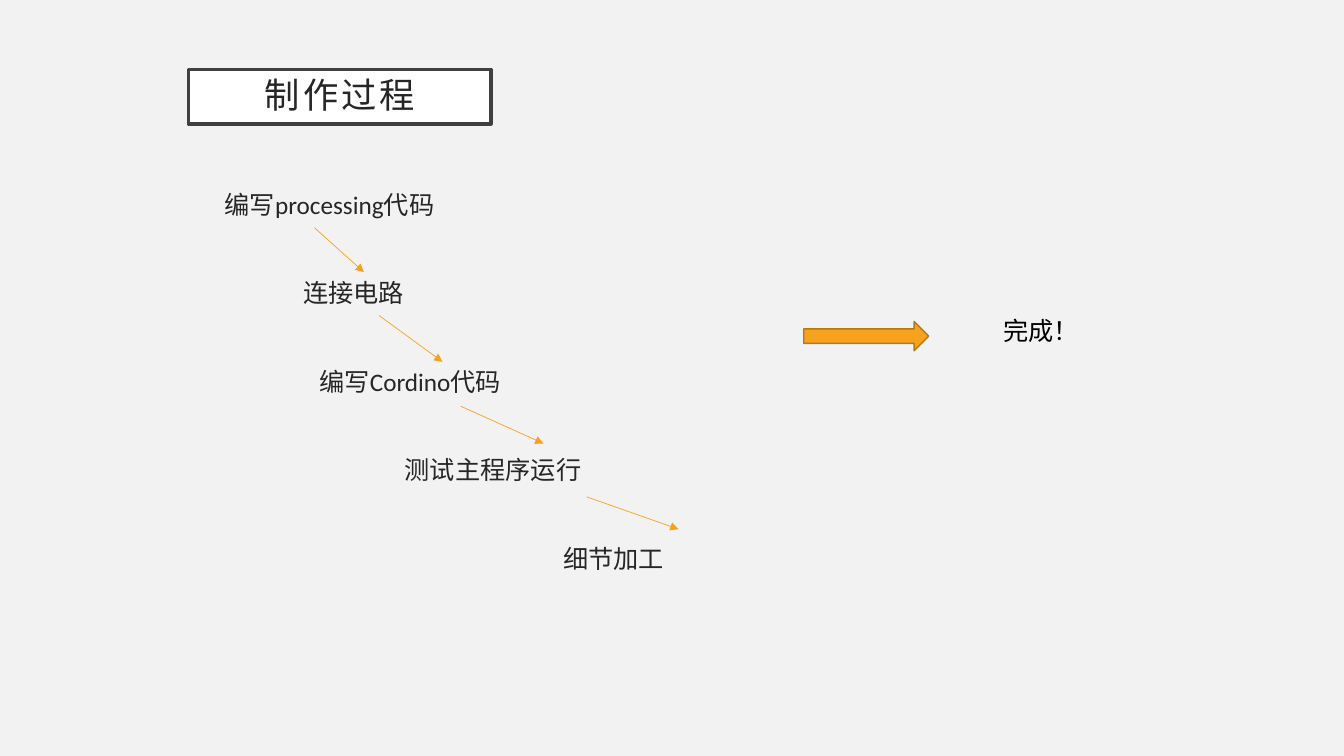
from lxml.etree import SubElement
from pptx import Presentation
from pptx.dml.color import RGBColor
from pptx.enum.shapes import MSO_CONNECTOR as CONN, MSO_SHAPE as SHAPE
from pptx.enum.text import MSO_ANCHOR as ANCHOR, PP_ALIGN as ALIGN
from pptx.oxml.ns import qn
from pptx.util import Inches, Pt

BACKGROUND = RGBColor(0xF2, 0xF2, 0xF2)
WHITE = RGBColor(0xFF, 0xFF, 0xFF)
BLACK = RGBColor(0, 0, 0)
FRAME = RGBColor(0x40, 0x40, 0x40)
INK = RGBColor(0x26, 0x26, 0x26)
ORANGE = RGBColor(0xF6, 0xA2, 0x1D)
DARK_ORANGE = RGBColor(0xB6, 0x78, 0x15)

FONT = "Calibri"
WIDTH, HEIGHT = Inches(13.33), Inches(7.5)
LINE_HEIGHT, STEP_PITCH = 22, 63.3  # points

# Each step: text, indent in percent of the slide's width
STEPS = [
    ("编写processing代码", 0),
    ("连接电路", 5.85),
    ("编写Cordino代码", 7.05),
    ("测试主程序运行", 13.4),
    ("细节加工", 25.2),
]
# Start and end of the arrow after each step, in percent of the slide
STEP_ARROWS = [
    (23.4, 30.13, 27.08, 36),
    (28.2, 41.73, 32.93, 47.87),
    (34.28, 53.73, 40.44, 58.67),
    (43.66, 65.73, 50.49, 70),
]


def col(percent):
    return int(WIDTH * percent / 100)


def row(percent):
    return int(HEIGHT * percent / 100)


def area(x, y, w, h):
    return col(x), row(y), col(w), row(h)


def format_run(r, size, color):
    r.font.name = FONT
    r.font.size = Pt(size)
    r.font.color.rgb = color


def paint(sp, fill, line, width):
    sp.fill.solid()
    sp.fill.fore_color.rgb = fill
    sp.line.color.rgb = line
    sp.line.width = Pt(width)


def add_title(s, text, box):
    sp = s.shapes.title
    sp.left, sp.top, sp.width, sp.height = box
    paint(sp, WHITE, FRAME, 2.5)
    tf = sp.text_frame
    tf.text = text
    tf.vertical_anchor = ANCHOR.MIDDLE
    tf.margin_left = tf.margin_right = Inches(0.2)
    tf.margin_top = tf.margin_bottom = Inches(0.2)
    p = tf.paragraphs[0]
    p.alignment = ALIGN.CENTER
    p.line_spacing = 0.9
    r = p.runs[0]
    format_run(r, 25.2, INK)
    r.font._element.set("spc", "200")


def add_text(s, lines, box, color):
    tf = s.shapes.add_textbox(*box).text_frame
    tf.word_wrap = True
    tf.text = "\n".join(lines)
    for p in tf.paragraphs:
        format_run(p.runs[0], 18, color)
    return tf


def add_steps(s, box):
    tf = add_text(s, [text for text, _ in STEPS], box, INK)
    for p, (_, indent) in zip(tf.paragraphs, STEPS):
        p.line_spacing = Pt(LINE_HEIGHT)
        p.space_after = Pt(STEP_PITCH - LINE_HEIGHT)
        p._p.get_or_add_pPr().set("marL", str(col(indent)))


def add_arrow(s, x1, y1, x2, y2):
    cn = s.shapes.add_connector(CONN.STRAIGHT, col(x1), row(y1), col(x2), row(y2))
    cn.line.color.rgb = ORANGE
    cn.line.width = Pt(0.5)
    SubElement(cn.line._get_or_add_ln(), qn("a:tailEnd"), type="triangle")
    SubElement(cn._element.spPr, qn("a:effectLst"))


def add_block_arrow(s, box):
    sp = s.shapes.add_shape(SHAPE.RIGHT_ARROW, *box)
    sp.shadow.inherit = False
    paint(sp, ORANGE, DARK_ORANGE, 1)


def main():
    prs = Presentation()
    prs.slide_width, prs.slide_height = WIDTH, HEIGHT
    s = prs.slides.add_slide(prs.slide_layouts[5])
    s.background.fill.solid()
    s.background.fill.fore_color.rgb = BACKGROUND

    # Title and the staircase of steps
    add_title(s, "制作过程", area(14.03, 9.2, 22.5, 7.2))
    add_steps(s, area(15.98, 24.27, 63.4, 70.53))
    for ends in STEP_ARROWS:
        add_arrow(s, *ends)

    # Result
    add_block_arrow(s, area(59.8, 42.53, 9.3, 3.87))
    add_text(s, ["完成！"], area(73.9, 41.07, 15.53, 5.33), BLACK)

    prs.save("out.pptx")


if __name__ == "__main__":
    main()
